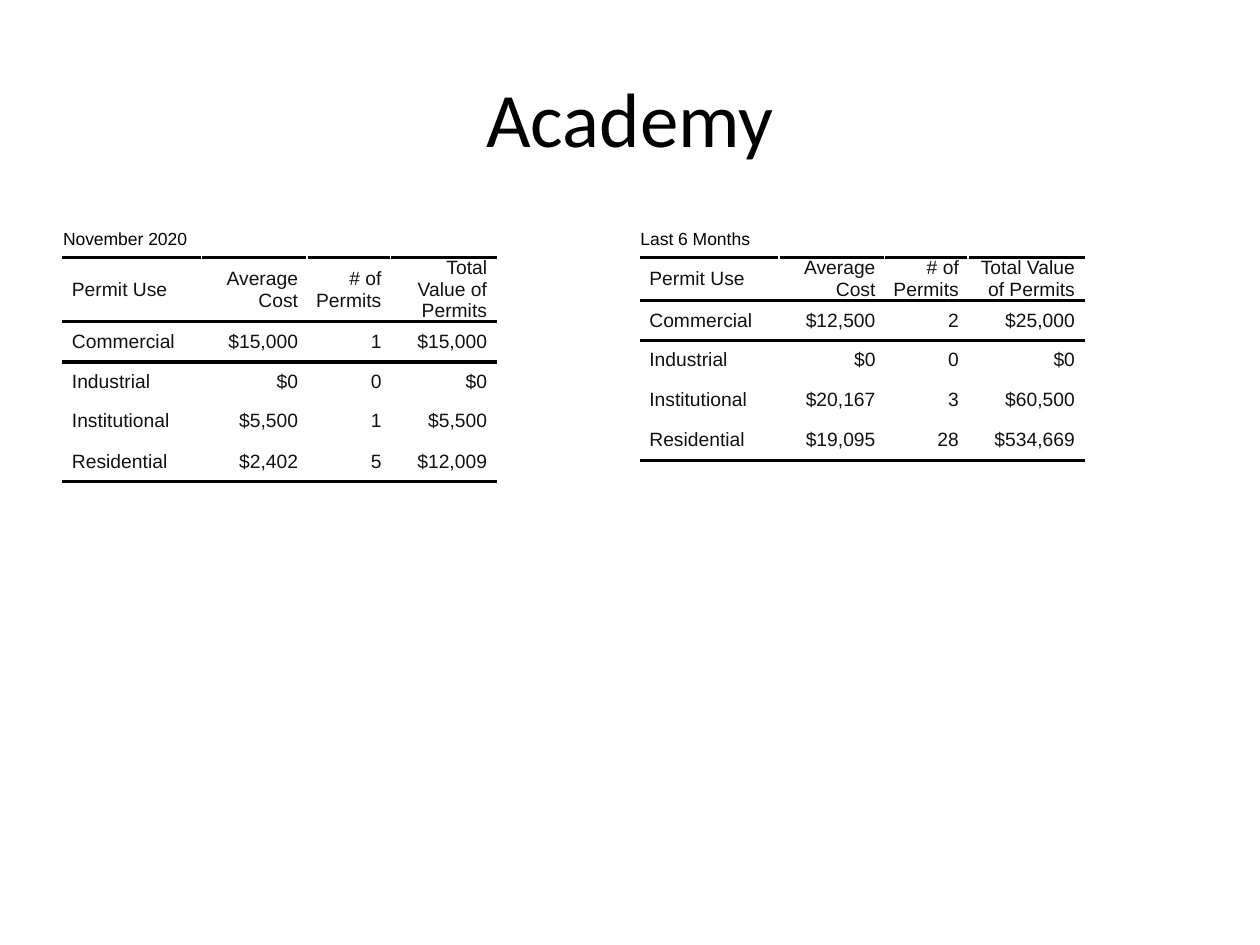
from dataclasses import dataclass

from lxml import etree
from pptx import Presentation
from pptx.dml.color import RGBColor
from pptx.enum.text import MSO_ANCHOR, PP_ALIGN
from pptx.oxml.ns import qn
from pptx.util import Cm, Pt

LEFT, CENTER, RIGHT = PP_ALIGN.LEFT, PP_ALIGN.CENTER, PP_ALIGN.RIGHT
MIDDLE = MSO_ANCHOR.MIDDLE
TITLE_ONLY = 5


@dataclass(frozen=True)
class Theme:
    ink: RGBColor = RGBColor(0x00, 0x00, 0x00)
    cell_ink: RGBColor = RGBColor(0x11, 0x11, 0x11)
    title_font: str = "Calibri"
    table_font: str = "Arial"
    title_size: Pt = Pt(44)
    caption_size: Pt = Pt(10)
    cell_size: Pt = Pt(11)
    rule_width: Pt = Pt(2)


theme = Theme()
TITLE_FORMAT = {"name": theme.title_font, "size": theme.title_size}
CAPTION_FORMAT = {"name": theme.table_font, "size": theme.caption_size}
CELL_FORMAT = {"name": theme.table_font, "size": theme.cell_size}

HEADINGS = ("Permit Use", "Average Cost", "# of Permits", "Total Value of Permits")
ROW_HEIGHTS = (0.74, 0.74, 0.81, 0.79, 0.81, 0.81)
RULED_ROWS = (0, 1, 5)  # rows with a rule along the bottom
TABLE_TOP = 4.45
CELL_INDENT = Cm(0.18)

PERMIT_TABLES = (
    (1.27, (2.79, 2.13, 1.68, 2.13), "November 2020", (
        ("Commercial", "$15,000", "1", "$15,000"),
        ("Industrial", "$0", "0", "$0"),
        ("Institutional", "$5,500", "1", "$5,500"),
        ("Residential", "$2,402", "5", "$12,009"),
    )),
    (12.91, (2.79, 2.13, 1.68, 2.34), "Last 6 Months", (
        ("Commercial", "$12,500", "2", "$25,000"),
        ("Industrial", "$0", "0", "$0"),
        ("Institutional", "$20,167", "3", "$60,500"),
        ("Residential", "$19,095", "28", "$534,669"),
    )),
)


def write_text(paragraph, text, font_format, color, alignment):
    paragraph.alignment = alignment
    run = paragraph.add_run()
    run.text = text
    for attribute, value in font_format.items():
        setattr(run.font, attribute, value)
    run.font.color.rgb = color


def add_rule(cell, side):
    """Draw a solid rule on one side of a cell, "a:lnT" or "a:lnB"."""
    line = etree.SubElement(cell._tc.get_or_add_tcPr(), qn(side), w=str(int(theme.rule_width)))
    fill = etree.SubElement(line, qn("a:solidFill"))
    etree.SubElement(fill, qn("a:srgbClr"), val=str(theme.ink))


presentation = Presentation()
presentation.slide_width, presentation.slide_height = Cm(25.4), Cm(19.05)
slide = presentation.slides.add_slide(presentation.slide_layouts[TITLE_ONLY])

for left, column_widths, caption, records in PERMIT_TABLES:
    rows = ((caption, "", "", ""), HEADINGS, *records)
    table = slide.shapes.add_table(
        len(rows), len(column_widths), Cm(left), Cm(TABLE_TOP),
        Cm(sum(column_widths)), Cm(sum(ROW_HEIGHTS)),
    ).table
    table.first_row = table.horz_banding = False
    for column, width in zip(table.columns, column_widths):
        column.width = Cm(width)
    for row, height in zip(table.rows, ROW_HEIGHTS):
        row.height = Cm(height)
    table.cell(0, 0).merge(table.cell(0, len(column_widths) - 1))

    for row_index, texts in enumerate(rows):
        for column_index, text in enumerate(texts):
            cell = table.cell(row_index, column_index)
            cell.margin_left = cell.margin_right = cell.margin_top = cell.margin_bottom = 0
            cell.vertical_anchor = MIDDLE
            if row_index - 1 in RULED_ROWS:
                add_rule(cell, "a:lnT")
            if row_index in RULED_ROWS:
                add_rule(cell, "a:lnB")
            cell.fill.background()
            if cell.is_spanned:
                continue
            paragraph = cell.text_frame.paragraphs[0]
            if row_index == 0:
                write_text(paragraph, text, CAPTION_FORMAT, theme.ink, LEFT)
                continue
            properties = paragraph._p.get_or_add_pPr()
            for margin in ("marL", "marR"):
                properties.set(margin, str(int(CELL_INDENT)))
            write_text(paragraph, text, CELL_FORMAT, theme.cell_ink,
                       RIGHT if column_index else LEFT)

title = slide.shapes.title
title.left, title.top, title.width, title.height = Cm(1.27), Cm(0.76), Cm(22.86), Cm(3.18)
title.text_frame.vertical_anchor = MIDDLE
write_text(title.text_frame.paragraphs[0], "Academy", TITLE_FORMAT, theme.ink, CENTER)

presentation.save("out.pptx")
